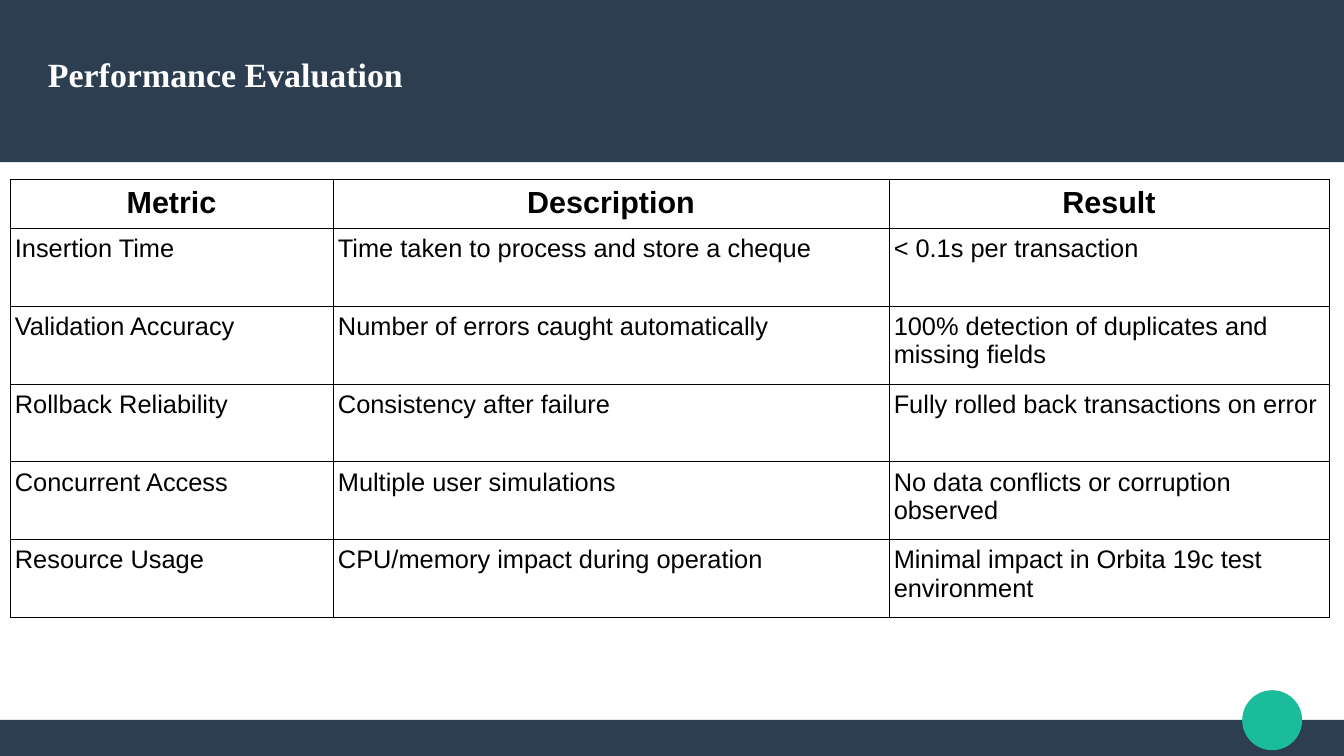
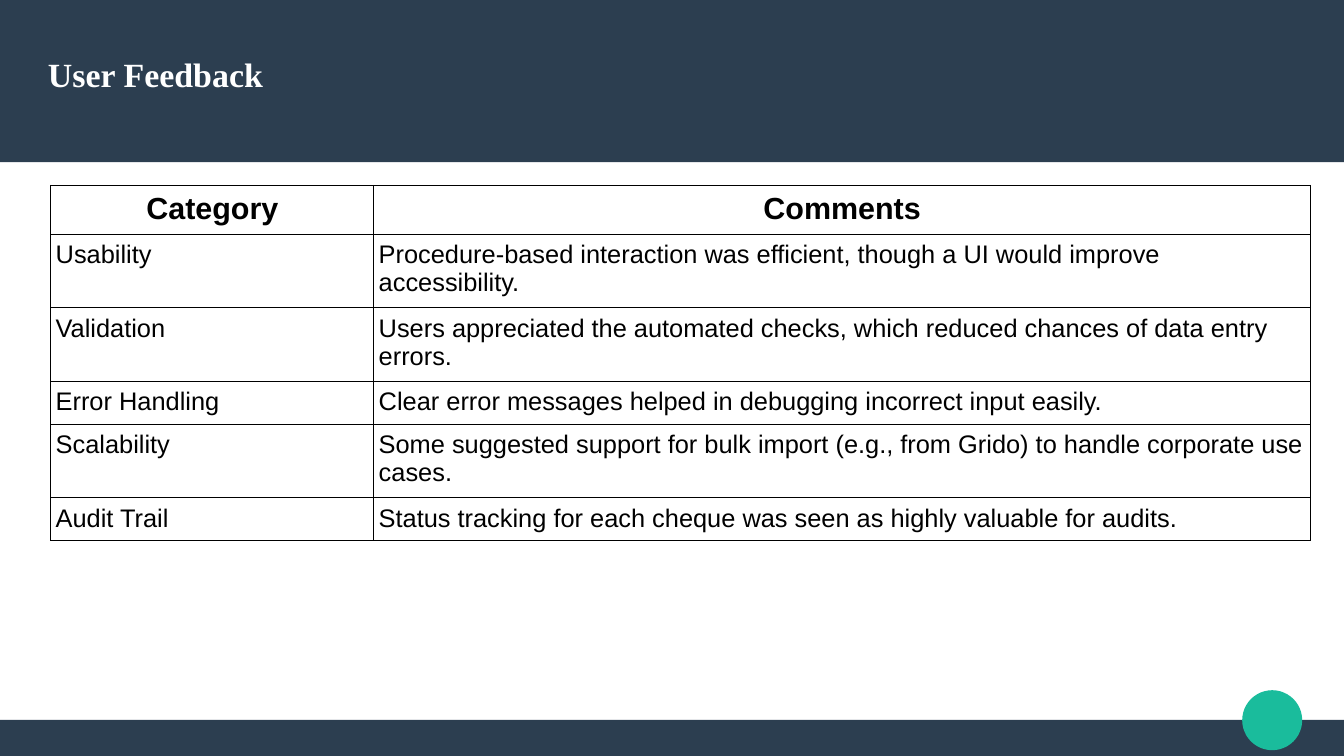
from lxml import etree
from pptx import Presentation
from pptx import util as u
from pptx.dml.color import RGBColor
from pptx.enum import shapes, text
from pptx.oxml.ns import qn

COLORS = {"band": "2C3E50", "accent": "1ABC9C", "title": "FFFFFF", "text": "000000"}
WIDTH, HEIGHT = 28, 15.75
HEADER_ROW = 0.96
ONE_LINE, TWO_LINES = 0.84, 1.44

# Shape, left, top, width, height and colour of the parts on every slide
FRAME = [
    (shapes.MSO_SHAPE.RECTANGLE, 0, 15, WIDTH, 0.75, "band"),
    (shapes.MSO_SHAPE.RECTANGLE, 0, 0, WIDTH, 3.38, "band"),
    (shapes.MSO_SHAPE.OVAL, 25.88, 14.38, 1.25, 1.25, "accent"),
]

SLIDES = [
    {
        "title": "Performance Evaluation",
        "at": (0.21, 3.74),
        "cols": [6.73, 11.58, 9.17],
        "heights": [HEADER_ROW] + [1.62] * 5,
        "rows": [
            ("Metric", "Description", "Result"),
            ("Insertion Time", "Time taken to process and store a cheque",
             "< 0.1s per transaction"),
            ("Validation Accuracy", "Number of errors caught automatically",
             "100% detection of duplicates and missing fields"),
            ("Rollback Reliability", "Consistency after failure",
             "Fully rolled back transactions on error"),
            ("Concurrent Access", "Multiple user simulations",
             "No data conflicts or corruption observed"),
            ("Resource Usage", "CPU/memory impact during operation",
             "Minimal impact in Orbita 19c test environment"),
        ],
    },
    {
        "title": "User Feedback",
        "at": (1.06, 3.86),
        "cols": [6.73, 19.51],
        "heights": [HEADER_ROW, TWO_LINES, TWO_LINES, ONE_LINE, TWO_LINES, ONE_LINE],
        "rows": [
            ("Category", "Comments"),
            ("Usability", "Procedure-based interaction was efficient, "
             "though a UI would improve accessibility."),
            ("Validation", "Users appreciated the automated checks, "
             "which reduced chances of data entry errors."),
            ("Error Handling", "Clear error messages helped in debugging "
             "incorrect input easily."),
            ("Scalability", "Some suggested support for bulk import (e.g., from Grido) "
             "to handle corporate use cases."),
            ("Audit Trail", "Status tracking for each cheque was seen "
             "as highly valuable for audits."),
        ],
    },
]


def add_run(p, words, font, size, color, bold):
    r = p.add_run()
    r.text = words
    r.font.name = font
    r.font.size = u.Pt(size)
    r.font.bold = bold
    r.font.color.rgb = RGBColor.from_string(COLORS[color])


def add_borders(cell):
    tcPr = cell._tc.get_or_add_tcPr()
    for side in ("a:lnL", "a:lnR", "a:lnT", "a:lnB"):
        ln = etree.SubElement(tcPr, qn(side), w=str(u.Pt(0.57)))
        fill = etree.SubElement(ln, qn("a:solidFill"))
        etree.SubElement(fill, qn("a:srgbClr"), val=COLORS["text"])


prs = Presentation()
prs.slide_width, prs.slide_height = u.Cm(WIDTH), u.Cm(HEIGHT)

for page in SLIDES:
    s = prs.slides.add_slide(prs.slide_layouts[6])

    # Bands and footer circle
    for kind, left, top, width, height, color in FRAME:
        sp = s.shapes.add_shape(kind, u.Cm(left), u.Cm(top), u.Cm(width), u.Cm(height))
        sp.shadow.inherit = False
        sp.fill.solid()
        sp.fill.fore_color.rgb = RGBColor.from_string(COLORS[color])
        sp.line.fill.background()

    # Title
    tf = s.shapes.add_textbox(u.Cm(1), u.Cm(0.54), u.Cm(26), u.Cm(2)).text_frame
    tf.word_wrap = True
    tf.vertical_anchor = text.MSO_ANCHOR.MIDDLE
    tf.margin_left = tf.margin_right = tf.margin_top = tf.margin_bottom = 0
    add_run(tf.paragraphs[0], page["title"], "Times New Roman", 20, "title", True)

    # Table
    left, top = page["at"]
    table = s.shapes.add_table(
        len(page["rows"]), len(page["cols"]), u.Cm(left), u.Cm(top),
        u.Cm(sum(page["cols"])), u.Cm(sum(page["heights"]))).table
    table.first_row = table.horz_banding = False
    for column, width in zip(table.columns, page["cols"]):
        column.width = u.Cm(width)
    for i, (row, height) in enumerate(zip(table.rows, page["heights"])):
        row.height = u.Cm(height)
        header = i == 0
        for cell, words in zip(row.cells, page["rows"][i]):
            cell.margin_left = cell.margin_right = u.Cm(0.1)
            cell.margin_top = cell.margin_bottom = u.Cm(0.13)
            add_borders(cell)
            cell.fill.background()
            p = cell.text_frame.paragraphs[0]
            p.alignment = text.PP_ALIGN.CENTER if header else text.PP_ALIGN.LEFT
            add_run(p, words, "Arial", 18 if header else 15, "text", header)

prs.save("out.pptx")
